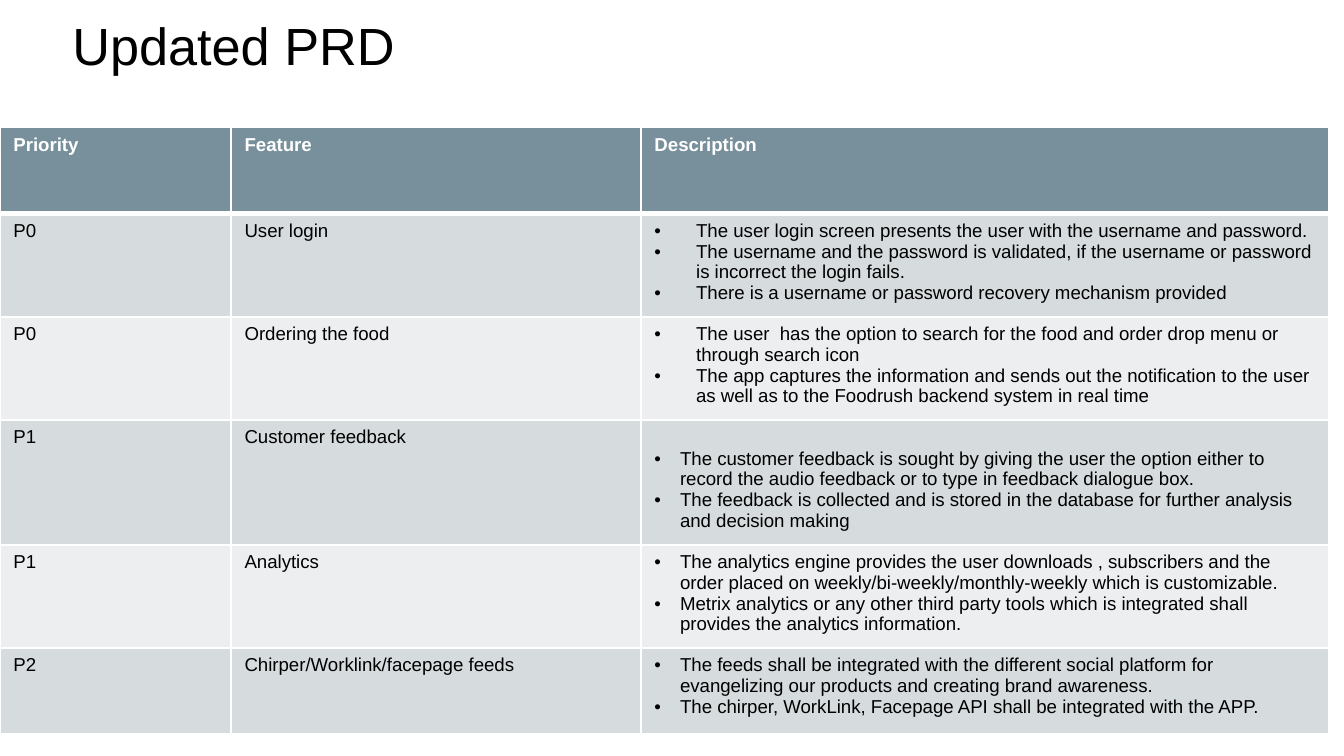
"""Build the Updated PRD slide: a title above a table of prioritised features."""
from lxml.etree import SubElement as Sub
from pptx import Presentation
from pptx.dml.color import RGBColor as RGB
from pptx.enum.text import MSO_ANCHOR as Anchor
from pptx.oxml.ns import qn
from pptx.util import Inches, Pt

THEME = {
    "font": "Arial", "title": 28, "body": 10,
    "ink": "000000", "white": "FFFFFF", "header": "78909C",
    "bands": ("D6DBDE", "ECEEEF"),
}
WIDTHS = (1.72, 3.05, 5.12)
HEADER_HEIGHT = 0.64
WIDE, NARROW = 0.31, 0.19
HEADINGS = ("Priority", "Feature", "Description")
FEATURES = [
    ("P0", "User login", 0.72, WIDE, 0.05, [
        "The user login screen presents the user with the username and password. ",
        "The username and the password is validated, if the username or password is incorrect the login fails.",
        "There is a username or password recovery mechanism provided"]),
    ("P0", "Ordering the food", 0.72, WIDE, 0.05, [
        "The user  has the option to search for the food and order drop menu or through search icon",
        "The app captures the information and sends out the notification to the user as well as to the Foodrush backend system in real time "]),
    ("P1", "Customer feedback", 0.88, NARROW, 0.21, [
        "The customer feedback is sought by giving the user the option either to record the audio feedback or to type in feedback dialogue box.",
        "The feedback is collected and is stored in the database for further analysis and decision making "]),
    ("P1", "Analytics", 0.72, NARROW, 0.05, [
        "The analytics engine provides the user downloads , subscribers and the order placed on weekly/bi-weekly/monthly-weekly which is customizable.",
        "Metrix analytics or any other third party tools which is integrated shall provides the analytics information."]),
    ("P2", "Chirper/Worklink/facepage feeds", 0.64, NARROW, 0.05, [
        "The feeds shall be integrated with the different social platform for evangelizing our products and creating brand awareness.",
        "The chirper, WorkLink, Facepage API shall be integrated with the APP. "]),
]


def write(tf, lines, size, color, bold=False, indent=None):
    tf.word_wrap = True
    for i, line in enumerate(lines):
        p = tf.paragraphs[0] if i == 0 else tf.add_paragraph()
        r = p.add_run()
        r.text = line
        for name, value in {"name": THEME["font"], "size": Pt(size), "bold": bold}.items():
            setattr(r.font, name, value)
        r.font.color.rgb = RGB.from_string(color)
        Sub(p._p, qn("a:endParaRPr"), sz=str(size * 100))
        if indent:
            pPr = p._p.get_or_add_pPr()
            pPr.set("marL", str(Inches(indent)))
            pPr.set("indent", str(-Inches(indent)))
            Sub(Sub(pPr, qn("a:buClr")), qn("a:srgbClr")).set("val", color)
            Sub(pPr, qn("a:buFont")).set("typeface", THEME["font"])
            Sub(pPr, qn("a:buChar")).set("char", "•")


def style(cell, fill, top_width, bottom_width):
    tcPr = cell._tc.get_or_add_tcPr()
    for side, width in {"L": 1, "R": 1, "T": top_width, "B": bottom_width}.items():
        ln = Sub(tcPr, qn(f"a:ln{side}"), w=str(Pt(width)))
        Sub(Sub(ln, qn("a:solidFill")), qn("a:srgbClr")).set("val", THEME["white"])
    cell.fill.solid()
    cell.fill.fore_color.rgb = RGB.from_string(fill)


prs = Presentation()
prs.slide_width, prs.slide_height = Inches(10), Inches(10 * 9 / 16)
slide = prs.slides.add_slide(prs.slide_layouts[6])

title = slide.shapes.add_textbox(Inches(0.44), Inches(0), Inches(9.32), Inches(0.63))
tf = title.text_frame
for name, value in {"margin_top": Inches(0.1), "margin_bottom": Inches(0.05),
                    "vertical_anchor": Anchor.TOP}.items():
    setattr(tf, name, value)
write(tf, ["Updated PRD"], THEME["title"], THEME["ink"])

heights = [HEADER_HEIGHT] + [feature[2] for feature in FEATURES]
table = slide.shapes.add_table(len(heights), len(WIDTHS), Inches(0), Inches(0.95),
                               Inches(sum(WIDTHS)), Inches(sum(heights))).table
for column, width in zip(table.columns, WIDTHS):
    column.width = Inches(width)
for row, height in zip(table.rows, heights):
    row.height = Inches(height)

for cell, heading in zip(table.rows[0].cells, HEADINGS):
    style(cell, THEME["header"], 1, 3)
    write(cell.text_frame, [heading], THEME["body"], THEME["white"], bold=True)

for i, (priority, feature, height, indent, top, points) in enumerate(FEATURES):
    cells = list(table.rows[i + 1].cells)
    for cell, lines in zip(cells, ([priority], [feature], points)):
        style(cell, THEME["bands"][i % 2], 1 if i else 3, 1)
        write(cell.text_frame, lines, THEME["body"], THEME["ink"],
              indent=indent if lines is points else None)
    cells[2].margin_top = Inches(top)

prs.save("out.pptx")
